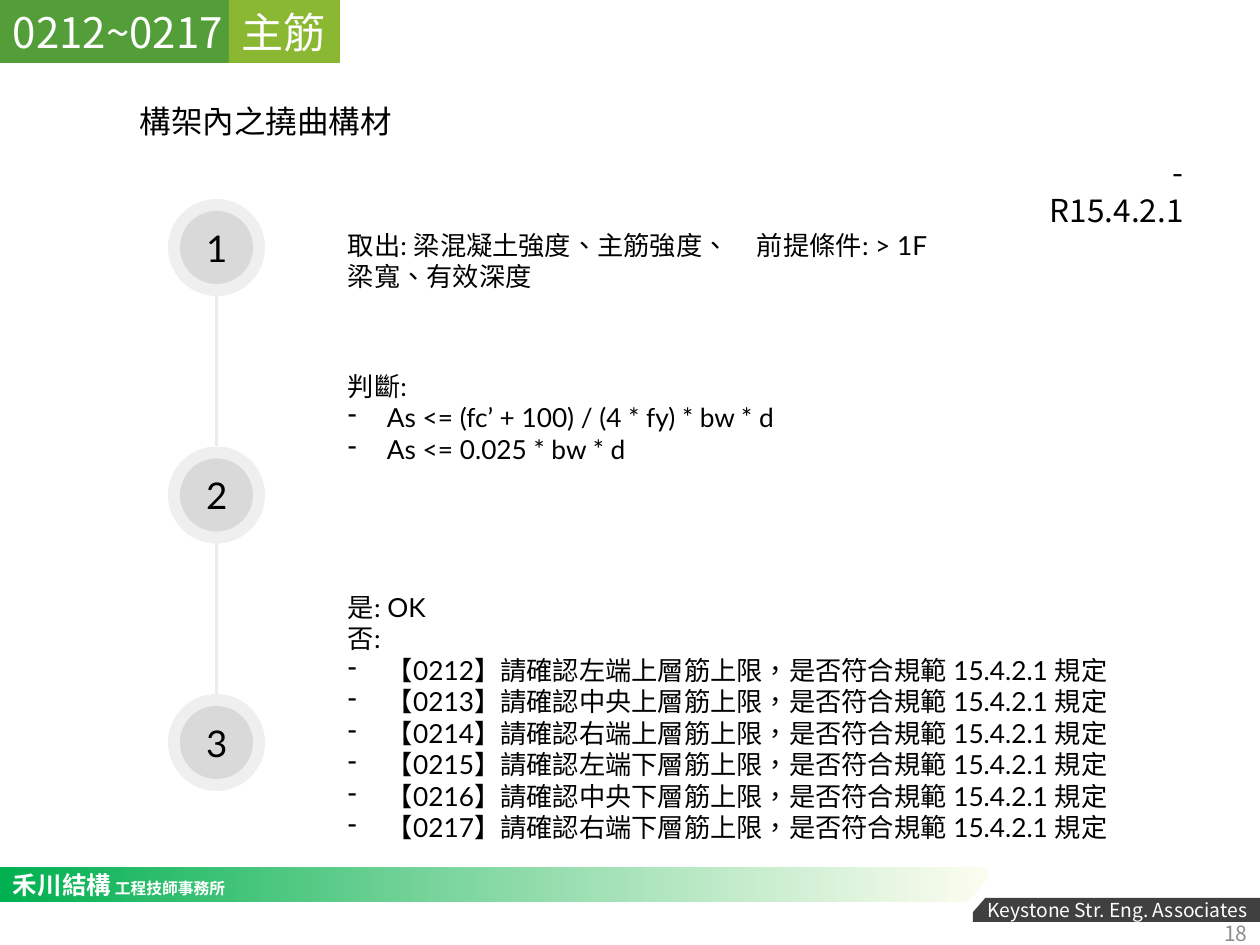
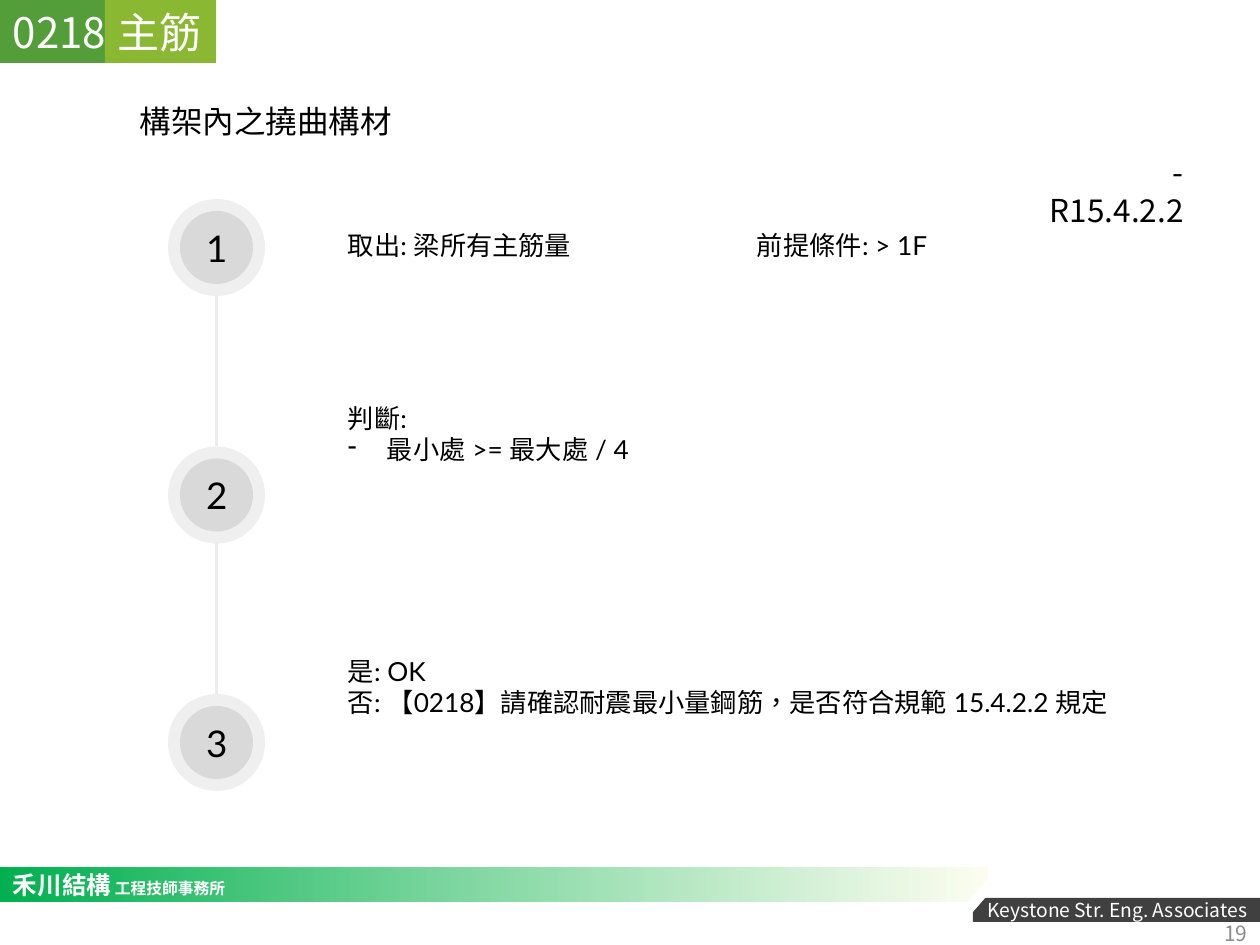
import lxml.etree
import pptx
import pptx.dml.color
import pptx.enum.lang
import pptx.enum.shapes
import pptx.enum.text
import pptx.oxml.ns
import pptx.util

RGB = pptx.dml.color.RGBColor
SHAPE = pptx.enum.shapes.MSO_SHAPE
ALIGN = pptx.enum.text.PP_ALIGN
ANCHOR = pptx.enum.text.MSO_ANCHOR
LANG = pptx.enum.lang.MSO_LANGUAGE_ID.TRADITIONAL_CHINESE
qn = pptx.oxml.ns.qn

WHITE = RGB(0xFF, 0xFF, 0xFF)
BLACK = RGB(0, 0, 0)
DARK = RGB(0x40, 0x40, 0x40)
PAGE_GREY = RGB(0x8C, 0x8C, 0x8C)
STEP_GREY = RGB(0xD9, 0xD9, 0xD9)
LINE_GREY = RGB(0xED, 0xEC, 0xEC)
CODE_GREEN = RGB(0x54, 0x9E, 0x39)
TOPIC_GREEN = RGB(0x8A, 0xB8, 0x33)
BAND_GREEN = RGB(0, 0xB0, 0x50)
BAND_CREAM = RGB(0xFB, 0xFD, 0xED)

SANS = "Noto Sans CJK SC"
LATO = "Lato"
PX_PER_INCH = 126
WIDTH, HEIGHT = 1260, 945
HALO, DISC = 97, 73
INDENT = 39
BULLET = "- "


def px(*lengths):
    """Turn pixel lengths into a list of EMU."""
    return [pptx.util.Emu(round(n * 914400 / PX_PER_INCH)) for n in lengths]


def set_alpha(fill, percent):
    """Make the last colour of a fill partly transparent."""
    color = list(fill._xPr.iter(qn("a:srgbClr")))[-1]
    lxml.etree.SubElement(color, qn("a:alpha"), val=str(percent * 1000))


def add_box(s, kind, box, fill):
    """Add a preset shape with a plain fill and no outline."""
    sp = s.shapes.add_shape(kind, *px(*box))
    sp.shadow.inherit = False
    sp.fill.solid()
    sp.fill.fore_color.rgb = fill
    sp.line.fill.background()
    return sp


def add_bullet(p):
    """Give a paragraph a dash with a hanging indent."""
    indent = px(INDENT)[0]
    pPr = p._p.get_or_add_pPr()
    pPr.set("marL", str(indent))
    pPr.set("indent", str(-indent))
    lxml.etree.SubElement(pPr, qn("a:buChar"), char="-")


def add_run(p, text, size, font, color, bold):
    """Add one formatted run to a paragraph."""
    r = p.add_run()
    r.text = text
    r.font.size = pptx.util.Pt(size)
    r.font.bold = bold
    r.font.name = font
    r.font.color.rgb = color
    r.font.language_id = LANG
    lxml.etree.SubElement(r._r.get_or_add_rPr(), qn("a:ea"), typeface=font)


def write(sp, *lines, size=15, font=LATO, color=BLACK, bold=False, align=ALIGN.LEFT,
          anchor=ANCHOR.TOP, wrap=True, left=13):
    """Write lines into a shape; a leading dash makes a bullet."""
    tf = sp.text_frame
    tf.word_wrap = wrap
    tf.vertical_anchor = anchor
    tf.margin_left = px(left)[0]
    for i, line in enumerate(lines):
        p = tf.paragraphs[0] if i == 0 else tf.add_paragraph()
        p.alignment = align
        if font == LATO and line.startswith(BULLET):
            add_bullet(p)
            line = line[len(BULLET):]
        add_run(p, line, size, font, color, bold)
    return sp


def add_text(s, box, *lines, **style):
    """Add a text box with formatted lines."""
    return write(s.shapes.add_textbox(*px(*box)), *lines, **style)


def add_footer(s, top, page):
    """Draw the gradient band, firm names and page number."""
    band = add_box(s, SHAPE.RECTANGLE, (0, top, 987, 34), BAND_GREEN)
    band.fill.gradient()
    band.fill.gradient_angle = 0
    for stop, color, place in zip(band.fill.gradient_stops, (BAND_GREEN, BAND_CREAM), (0, 0.99)):
        stop.color.rgb = color
        stop.position = place
    set_alpha(band.fill, 86)
    bar = add_box(s, SHAPE.RECTANGLE, (973, top + 30, 287, 24), DARK)
    write(bar, "Keystone Str. Eng. Associates", size=11, font=SANS, color=WHITE,
          align=ALIGN.RIGHT, anchor=ANCHOR.MIDDLE)
    firm = add_text(s, (0, top - 4, 557, 62), "禾川結構", size=14, font=SANS,
                    color=WHITE, bold=True)
    add_run(firm.text_frame.paragraphs[0], " 工程技師事務所", 9, SANS, WHITE, True)
    notch = add_box(s, SHAPE.PARALLELOGRAM, (946, top + 6, 60, 53), WHITE)
    notch.adjustments[0] = 0.87
    add_text(s, (976, top + 40, 284, 50), str(page), size=12, font=SANS, color=PAGE_GREY,
             align=ALIGN.RIGHT, anchor=ANCHOR.MIDDLE)


def add_header(s, code, code_width, rule):
    """Draw the two title tags, the subject and the rule number."""
    for text, left, width, fill in (
        (code, 0, code_width, CODE_GREEN),
        ("主筋", code_width, 111, TOPIC_GREEN),
    ):
        tag = add_box(s, SHAPE.RECTANGLE, (left, 0, width, 63), fill)
        write(tag, text, size=24, font=SANS, color=WHITE, wrap=False)
    add_text(s, (127, 96, 280, 50), "構架內之撓曲構材", size=18, font=SANS, wrap=False)
    add_text(s, (1027, 147, 169, 50), rule, size=18, font=SANS, align=ALIGN.RIGHT)


def add_steps(s, left, top, count=3, pitch=247.5):
    """Draw numbered discs joined by vertical lines."""
    for i in range(count):
        y = top + i * pitch
        inset = (HALO - DISC) / 2
        add_box(s, SHAPE.OVAL, (left + inset, y + inset, DISC, DISC), STEP_GREY)
        halo = add_box(s, SHAPE.OVAL, (left, y, HALO, HALO), STEP_GREY)
        set_alpha(halo.fill, 42)
        write(halo, str(i + 1), size=21, align=ALIGN.CENTER, anchor=ANCHOR.MIDDLE)
        if i < count - 1:
            x = left + HALO / 2
            line = s.shapes.add_connector(pptx.enum.shapes.MSO_CONNECTOR.STRAIGHT,
                                          *px(x, y + HALO, x, y + pitch))
            line.line.color.rgb = LINE_GREY
            line.line.width = pptx.util.Pt(2.25)
            lxml.etree.SubElement(line._element.spPr, qn("a:effectLst"))


def add_check_slide(prs, page, code, code_width, rule, texts):
    """Add one rule check with its three steps."""
    s = prs.slides.add_slide(prs.slide_layouts[6])
    add_footer(s, 868, page)
    add_header(s, code, code_width, rule)
    add_steps(s, 168, 199)
    for top, width, lines in texts:
        add_text(s, (348, top, width, 32 * len(lines) + 12), *lines, left=0)
    add_text(s, (757, 223, 282, 44), "前提條件: > 1F", left=0)


def main():
    """Build both slides and save them."""
    prs = pptx.Presentation()
    prs.slide_width, prs.slide_height = px(WIDTH, HEIGHT)
    places = [end + layer for end in ("左端", "中央", "右端") for layer in ("上", "下")]
    places = places[::2] + places[1::2]
    warnings = [f"- 【{212 + i:04}】請確認{place}層筋上限，是否符合規範 15.4.2.1 規定"
                for i, place in enumerate(places)]
    add_check_slide(prs, 18, "0212~0217", 229, "- R15.4.2.1", [
        (223, 410, ["取出: 梁混凝土強度、主筋強度、梁寬、有效深度"]),
        (364, 567, ["判斷:", "- As <= (fc’ + 100) / (4 * fy) * bw * d",
                    "- As <= 0.025 * bw * d"]),
        (585, 799, ["是: OK", "否:", *warnings]),
    ])
    add_check_slide(prs, 19, "0218", 105, "- R15.4.2.2", [
        (223, 537, ["取出: 梁所有主筋量"]),
        (396, 567, ["判斷:", "- 最小處 >= 最大處 / 4"]),
        (649, 799, ["是: OK",
                    "否: 【0218】請確認耐震最小量鋼筋，是否符合規範 15.4.2.2 規定"]),
    ])
    prs.save("out.pptx")


if __name__ == "__main__":
    main()
